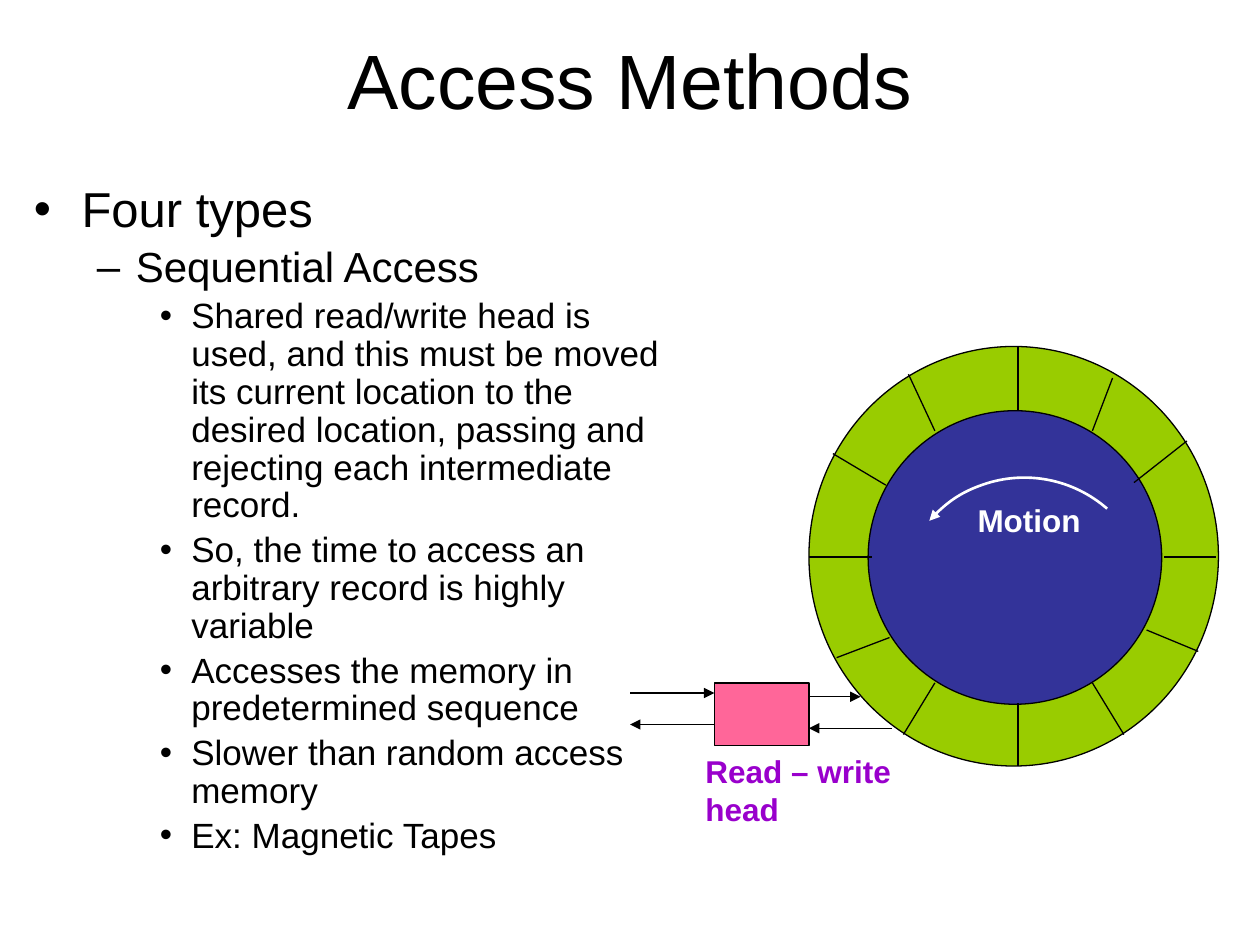
from pptx import Presentation
from pptx import util as u
from pptx.dml.color import RGBColor
from pptx.enum import shapes, text
from pptx.oxml.ns import qn
from lxml import etree

COLORS = {"black": "000000", "white": "FFFFFF", "track": "99CC00",
          "disk": "333399", "head": "FF6699", "label": "9900CC"}


def add_span(para, words, size, color="black", bold=False):
    span = para.add_run()
    span.text = words
    span.font.name = "Arial"
    span.font.size = u.Pt(size)
    span.font.bold = bold
    span.font.color.rgb = RGBColor.from_string(COLORS[color])


def style_line(item, color="black", width=0.75, arrow=None):
    item.line.color.rgb = RGBColor.from_string(COLORS[color])
    item.line.width = u.Pt(width)
    if arrow:
        etree.SubElement(item.line._get_or_add_ln(), qn(f"a:{arrow}"), type="triangle")


deck = Presentation()
deck.slide_width = u.Inches(10)
deck.slide_height = u.Inches(7.5)
page = deck.slides.add_slide(deck.slide_layouts[5])

title = page.shapes.title
title.left, title.top, title.width, title.height = map(u.Inches, (0.5, 0, 9, 1.25))
title.text_frame.vertical_anchor = text.MSO_ANCHOR.MIDDLE
para = title.text_frame.paragraphs[0]
para.alignment = text.PP_ALIGN.CENTER
add_span(para, "Access Methods", 44)

levels = [(28, 0.38, 0.38, "•"), (24, 0.81, 0.31, "–"), (20, 1.25, 0.25, "•")]
outline = [
    (0, "Four types"),
    (1, "Sequential Access"),
    (2, "Shared read/write head is used, and this must be moved its current location "
        "to the desired location, passing and rejecting each intermediate record."),
    (2, "So, the time to access an arbitrary record is highly variable"),
    (2, "Accesses the memory in predetermined sequence"),
    (2, "Slower than random access memory"),
    (2, "Ex: Magnetic Tapes"),
]
body = page.shapes.add_textbox(*map(u.Inches, (0.17, 1.42, 5.33, 5.83)))
body.text_frame.word_wrap = True
for index, (level, words) in enumerate(outline):
    size, margin, hang, mark = levels[level]
    para = body.text_frame.add_paragraph() if index else body.text_frame.paragraphs[0]
    para.level = level
    para.line_spacing = 0.9
    para.space_before = u.Pt(size * 0.2 if index else 0)
    props = para._p.get_or_add_pPr()
    props.set("marL", str(u.Inches(margin)))
    props.set("indent", str(-u.Inches(hang)))
    etree.SubElement(props, qn("a:buFont"), typeface="Arial")
    etree.SubElement(props, qn("a:buChar"), char=mark)
    add_span(para, words, size)

solids = [
    (shapes.MSO_SHAPE.OVAL, (6.42, 2.75, 3.25, 3.33), "track"),
    (shapes.MSO_SHAPE.OVAL, (6.89, 3.26, 2.33, 2.33), "disk"),
    (shapes.MSO_SHAPE.RECTANGLE, (5.67, 5.42, 0.75, 0.5), "head"),
]
for kind, place, color in solids:
    solid = page.shapes.add_shape(kind, *map(u.Inches, place))
    solid.shadow.inherit = False
    solid.fill.solid()
    solid.fill.fore_color.rgb = RGBColor.from_string(COLORS[color])
    style_line(solid)

sector_lines = [
    (8.08, 5.58, 8.08, 6.08), (8.08, 2.75, 8.08, 3.25),
    (6.42, 4.42, 6.92, 4.42), (9.24, 4.42, 9.65, 4.42),
    (6.61, 3.6, 7.03, 3.85), (7.21, 2.97, 7.42, 3.42),
    (9.1, 5, 9.51, 5.17), (8.67, 5.42, 8.92, 5.83),
    (6.64, 5.22, 7.06, 5.06), (7.17, 5.83, 7.42, 5.42),
    (8.83, 3, 8.67, 3.42), (9.42, 3.5, 9, 3.83),
]
data_arrows = [
    (5, 5.5, 5.67, 5.5), (5.67, 5.75, 5, 5.75),
    (7.08, 5.78, 6.42, 5.78), (6.42, 5.53, 6.83, 5.53),
]
for lines, arrow in ((sector_lines, None), (data_arrows, "tailEnd")):
    for ends in lines:
        line = page.shapes.add_connector(shapes.MSO_CONNECTOR.STRAIGHT, *map(u.Inches, ends))
        style_line(line, arrow=arrow)
        etree.SubElement(line._element.spPr, qn("a:effectLst"))

motion = page.shapes.add_shape(shapes.MSO_SHAPE.ARC, *map(u.Inches, (7.13, 3.79, 2, 2)))
motion.rotation = 311.1
motion.shadow.inherit = False
motion.fill.background()
style_line(motion, "white", 1.5, "headEnd")

labels = [
    ("Read – write head", (5.5, 5.92, 1.75, 0.7), "label", True),
    ("Motion", (7.66, 3.93, 1.09, 0.4), "white", False),
]
for words, place, color, wrap in labels:
    box = page.shapes.add_textbox(*map(u.Inches, place))
    box.text_frame.word_wrap = wrap
    box.text_frame.auto_size = text.MSO_AUTO_SIZE.SHAPE_TO_FIT_TEXT
    add_span(box.text_frame.paragraphs[0], words, 18, color, True)

deck.save("out.pptx")
